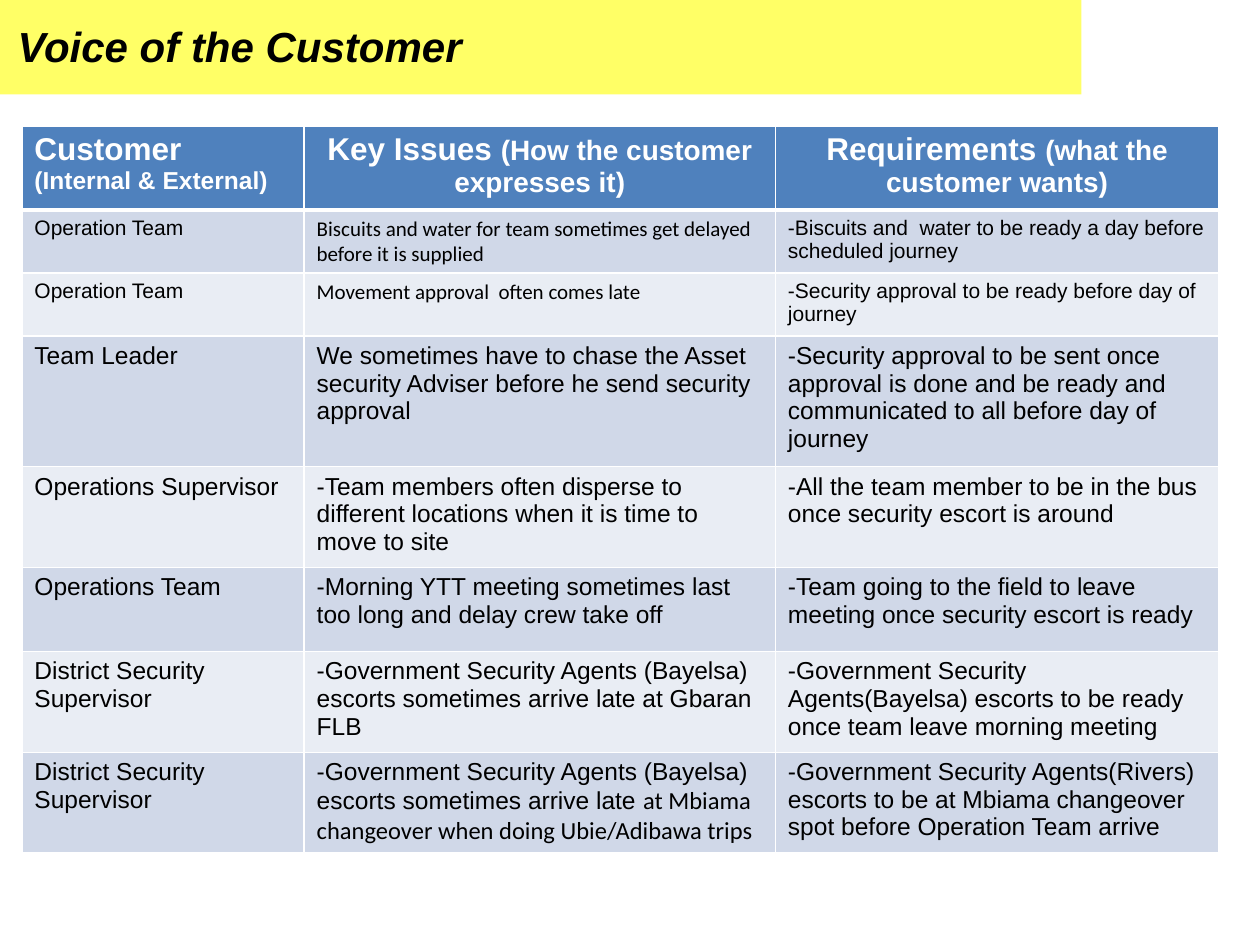
import pptx
import pptx.dml.color
import pptx.enum.shapes
import pptx.enum.text
import pptx.oxml
import pptx.util
from pptx.oxml.ns import qn

Pt = pptx.util.Pt
RGBColor = pptx.dml.color.RGBColor

BLACK = RGBColor(0x00, 0x00, 0x00)
WHITE = RGBColor(0xFF, 0xFF, 0xFF)
YELLOW = RGBColor(0xFF, 0xFF, 0x66)
HEADER_BLUE = RGBColor(0x4F, 0x81, 0xBD)
BANDS = [RGBColor(0xD0, 0xD8, 0xE8), RGBColor(0xE9, 0xED, 0xF4)]

TITLE = "Voice of the Customer"
COLUMN_WIDTHS = [161.3, 269.3, 253.4]
HEADER_HEIGHT = 47.5

# Each header cell is a list of paragraphs, each a list of (text, size).
HEADERS = [
    [[("Customer", 18)], [("(Internal & External)", 14)]],
    [[("Key Issues ", 18), ("(How the customer expresses it)", 16)]],
    [[("Requirements ", 18), ("(what the customer wants)", 16)]],
]

# Height, text size, then three cells. A leading "-" is a bullet;
# a tuple holds an Arial part and a Calibri part.
ROWS = [
    (36, 12, "Operation Team",
     ("", "Biscuits and water for team sometimes get delayed before it is supplied"),
     "-Biscuits and  water to be ready a day before scheduled journey"),
    (36, 12, "Operation Team",
     ("", "Movement approval  often comes late"),
     "-Security approval to be ready before day of journey"),
    (74.5, 14, "Team Leader",
     "We sometimes have to chase the Asset security Adviser before he send security approval",
     "-Security approval to be sent once approval is done and be ready and "
     "communicated to all before day of journey"),
    (57.5, 14, "Operations Supervisor",
     "-Team members often disperse to different locations when it is time to move to site",
     "-All the team member to be in the bus once security escort is around"),
    (48, 14, "Operations Team",
     "-Morning YTT meeting sometimes last too long and delay crew take off",
     "-Team going to the field to leave meeting once security escort is ready"),
    (57.5, 14, "District Security Supervisor",
     "-Government Security Agents (Bayelsa) escorts sometimes arrive late at Gbaran FLB",
     "-Government Security Agents(Bayelsa) escorts to be ready once team leave morning meeting"),
    (57.5, 14, "District Security Supervisor",
     ("-Government Security Agents (Bayelsa) escorts sometimes arrive late ",
      "at Mbiama changeover when doing Ubie/Adibawa trips"),
     "-Government Security Agents(Rivers) escorts to be at Mbiama changeover "
     "spot before Operation Team arrive"),
]


def add_run(paragraph, text, size, color=BLACK, bold=False, font="Arial"):
    run = paragraph.add_run()
    run.text = text
    run.font.name = font
    run.font.size = Pt(size)
    run.font.bold = bold
    run.font.color.rgb = color
    return run


def add_dash_bullet(paragraph):
    properties = paragraph._p.get_or_add_pPr()
    properties.set("marL", "0")
    properties.set("indent", "0")
    for tag, name, value in [("a:buFont", "typeface", "Arial"), ("a:buChar", "char", "-")]:
        properties.append(properties.makeelement(qn(tag), {name: value}))


def style_cell(cell, fill, bottom_width=1):
    """Fill the cell and draw white borders on all four sides."""
    properties = cell._tc.get_or_add_tcPr()
    for side, width in [("L", 1), ("R", 1), ("T", 1), ("B", bottom_width)]:
        line = properties.makeelement(qn(f"a:ln{side}"), {"w": str(Pt(width))})
        solid = line.makeelement(qn("a:solidFill"), {})
        solid.append(solid.makeelement(qn("a:srgbClr"), {"val": str(WHITE)}))
        line.append(solid)
        properties.append(line)
    cell.fill.solid()
    cell.fill.fore_color.rgb = fill


def add_title(slide):
    band = slide.shapes.add_shape(
        pptx.enum.shapes.MSO_SHAPE.RECTANGLE, 0, 0, Pt(618), Pt(54))
    band.shadow.inherit = False
    band.fill.solid()
    band.fill.fore_color.rgb = YELLOW
    band.line.fill.background()
    box = slide.shapes.add_textbox(Pt(3), Pt(8), Pt(549), Pt(36))
    box.text_frame.word_wrap = True
    run = add_run(box.text_frame.paragraphs[0], TITLE, 24, bold=True)
    run.font.italic = True


def fill_header(table):
    for column, paragraphs in enumerate(HEADERS):
        cell = table.cell(0, column)
        style_cell(cell, HEADER_BLUE, bottom_width=3)
        for index, runs in enumerate(paragraphs):
            frame = cell.text_frame
            paragraph = frame.add_paragraph() if index else frame.paragraphs[0]
            if column:
                paragraph.alignment = pptx.enum.text.PP_ALIGN.CENTER
            for text, size in runs:
                add_run(paragraph, text, size, WHITE, bold=True)


def fill_body(table):
    for row, (_, size, *contents) in enumerate(ROWS, start=1):
        for column, content in enumerate(contents):
            cell = table.cell(row, column)
            style_cell(cell, BANDS[(row - 1) % 2], 1)
            if row == 1:
                cell._tc.tcPr.find(qn("a:lnT")).set("w", str(Pt(3)))
            paragraph = cell.text_frame.paragraphs[0]
            arial, calibri = content if isinstance(content, tuple) else (content, "")
            if arial.startswith("-"):
                add_dash_bullet(paragraph)
                arial = arial[1:]
            for text, font in [(arial, "Arial"), (calibri, "Calibri")]:
                if text:
                    add_run(paragraph, text, size, font=font)


def main():
    presentation = pptx.Presentation()
    presentation.slide_width, presentation.slide_height = Pt(720), Pt(540)
    slide = presentation.slides.add_slide(presentation.slide_layouts[6])
    add_title(slide)

    heights = [HEADER_HEIGHT] + [row[0] for row in ROWS]
    table = slide.shapes.add_table(
        len(heights), len(COLUMN_WIDTHS), Pt(12.5), Pt(72),
        Pt(sum(COLUMN_WIDTHS)), Pt(sum(heights))).table
    for column, width in zip(table.columns, COLUMN_WIDTHS):
        column.width = Pt(width)
    for row, height in zip(table.rows, heights):
        row.height = Pt(height)
    fill_header(table)
    fill_body(table)
    presentation.save("out.pptx")


if __name__ == "__main__":
    main()
